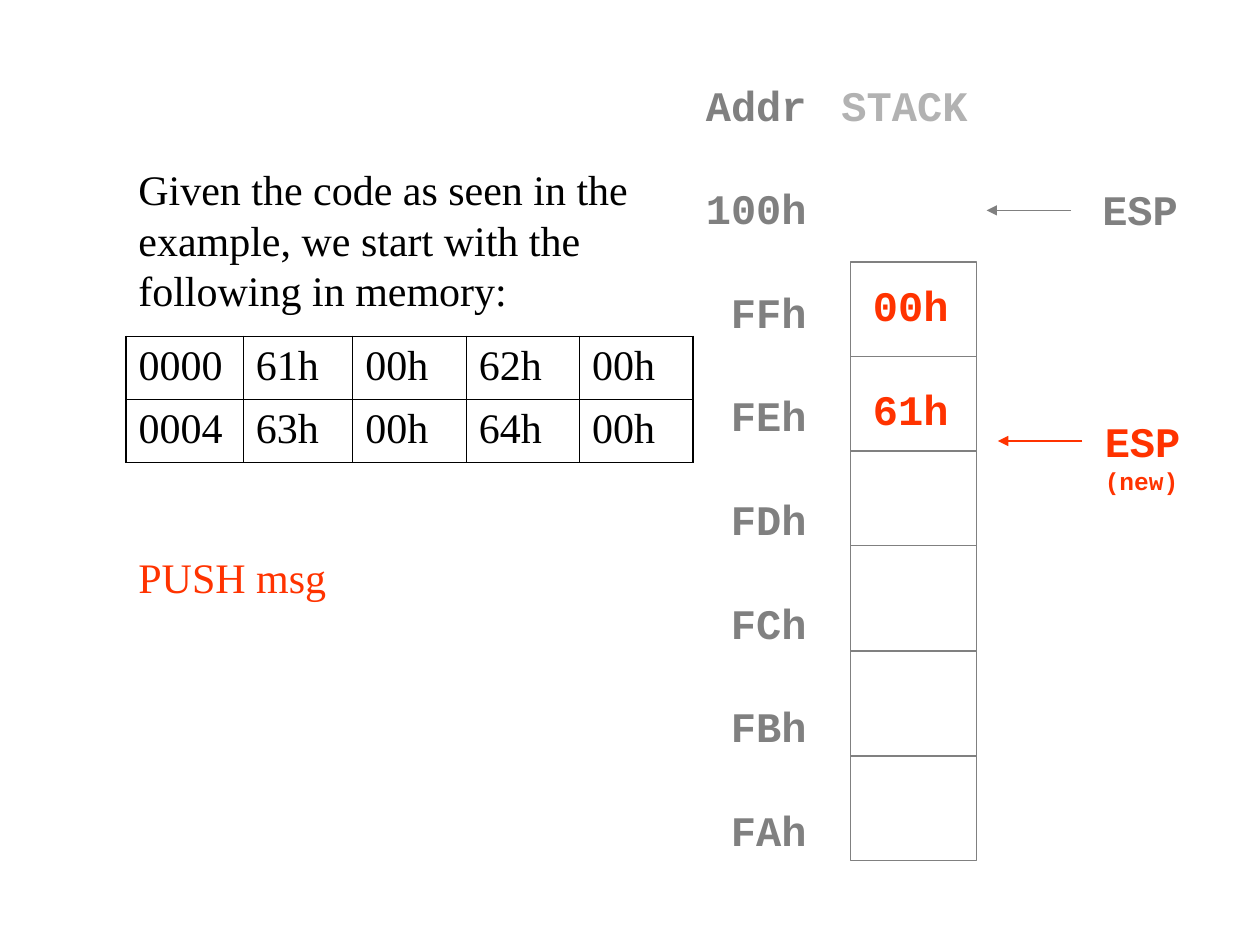
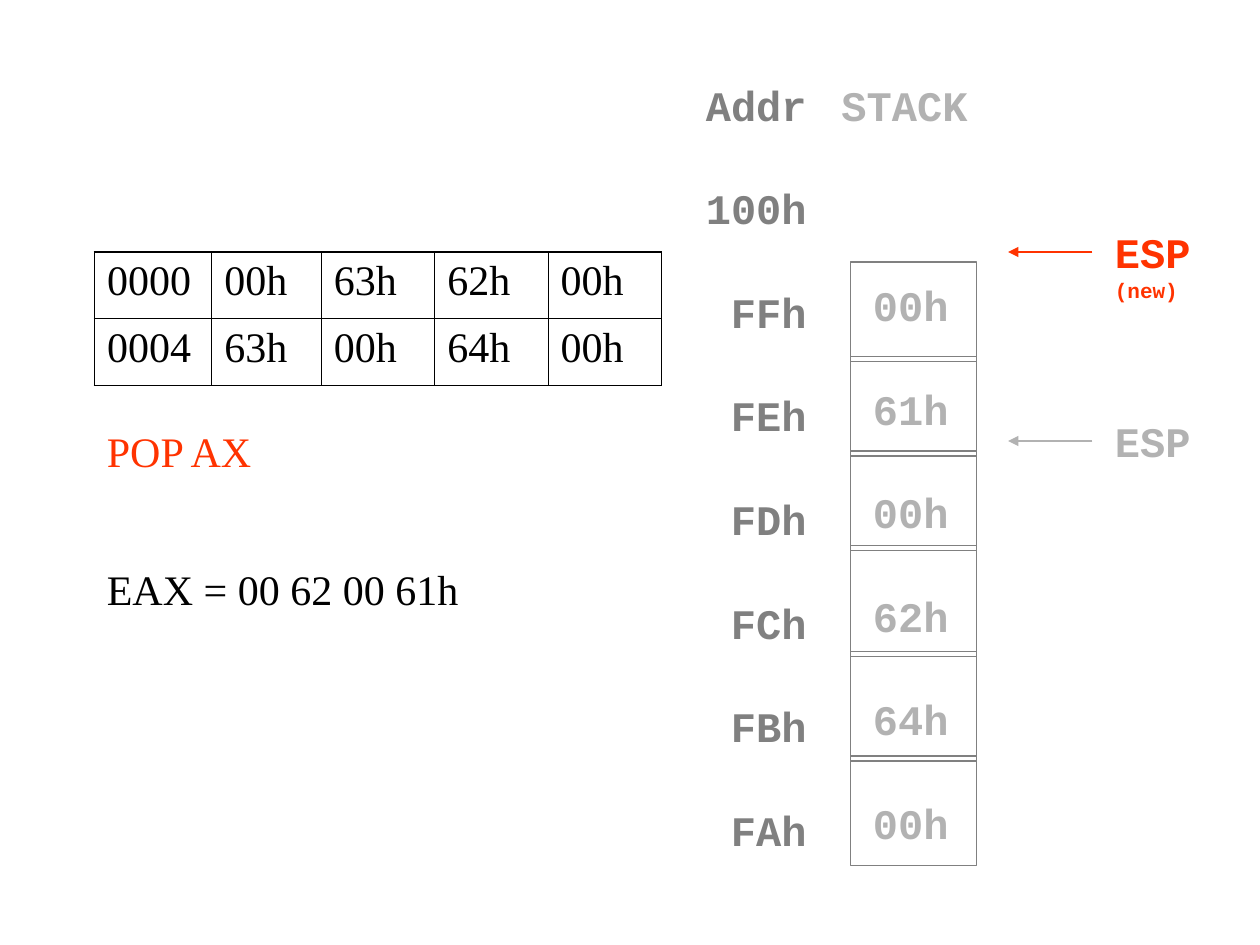
from lxml import etree
from pptx import Presentation
from pptx.dml.color import RGBColor
from pptx.enum.shapes import MSO_CONNECTOR as CONNECTOR, MSO_SHAPE as SHAPE
from pptx.enum.text import PP_ALIGN as ALIGN
from pptx.oxml.ns import qn
from pptx.util import Inches, Pt

BLACK = RGBColor(0x00, 0x00, 0x00)
GRAY = RGBColor(0x80, 0x80, 0x80)
LIGHT_GRAY = RGBColor(0xB2, 0xB2, 0xB2)
RED = RGBColor(0xFF, 0x33, 0x00)
SERIF = "Times New Roman"
MONO = "Courier New"
TEXT_SIZE = 24
ROW_GAP = 30.4  # points between the lines of the address and value columns

ADDRESSES = ["Addr", "100h", "FFh", "FEh", "FDh", "FCh", "FBh", "FAh"]
CELL_EDGES = [2.08, 2.83, 3.58, 4.33, 5.17, 6, 6.83]
MEMORY_COLUMNS = [0.93, 0.87, 0.9, 0.9, 0.9]


def style_run(r, color, font, size=TEXT_SIZE):
    r.font.name = font
    r.font.size = Pt(size)
    r.font.bold = font == MONO
    r.font.color.rgb = color


def add_text(slide, box, lines, color, font=MONO, sizes=(), gap=0,
             align=ALIGN.LEFT, leading=None):
    left, top, width, height = map(Inches, box)
    tf = slide.shapes.add_textbox(left, top, width, height).text_frame
    tf.word_wrap = True
    tf.margin_left = 0 if align == ALIGN.RIGHT else Inches(0.1)
    tf.margin_right = Inches(0.1) if align == ALIGN.RIGHT else 0
    for i, line in enumerate(lines):
        p = tf.paragraphs[0] if i == 0 else tf.add_paragraph()
        p.text = line
        p.alignment = align
        if leading:
            p.line_spacing = Pt(leading)
        if i and gap:
            p.space_before = Pt(gap)
        style_run(p.runs[0], color, font, sizes[i] if sizes else TEXT_SIZE)


def add_statement(slide, box, text, color=BLACK):
    add_text(slide, box, [text], color, SERIF, leading=28.8)


def set_borders(cell, widths):
    """Draw the left, right, top and bottom borders, widths in points."""
    tc_pr = cell._tc.get_or_add_tcPr()
    for i, (side, width) in enumerate(zip(("lnL", "lnR", "lnT", "lnB"), widths)):
        ln = etree.Element(qn(f"a:{side}"), w=str(Pt(width)))
        fill = etree.SubElement(ln, qn("a:solidFill"))
        etree.SubElement(fill, qn("a:srgbClr"), val=str(BLACK))
        tc_pr.insert(i, ln)


def add_memory_table(slide, left, top, row_height, rows):
    n_rows, n_cols = len(rows), len(MEMORY_COLUMNS)
    table = slide.shapes.add_table(
        n_rows, n_cols, Inches(left), Inches(top),
        Inches(sum(MEMORY_COLUMNS)), Inches(row_height * n_rows)).table
    table.first_row = table.horz_banding = False
    for column, width in zip(table.columns, MEMORY_COLUMNS):
        column.width = Inches(width)
    for i, row in enumerate(rows):
        table.rows[i].height = Inches(row_height)
        for j, value in enumerate(row):
            cell = table.cell(i, j)
            cell.fill.background()
            cell.text_frame.text = value
            style_run(cell.text_frame.paragraphs[0].runs[0], BLACK, SERIF)
            outer = (j == 0, j == n_cols - 1, i == 0, i == n_rows - 1)
            set_borders(cell, [1.08 if edge else 0.45 for edge in outer])


def add_stack(slide, values, value_color, overlap=0):
    """Draw addresses, header, values and cells; cells overlap downwards."""
    add_text(slide, (5.5, 0.58, 1, 6.1), ADDRESSES, GRAY,
             gap=ROW_GAP, align=ALIGN.RIGHT)
    add_text(slide, (6.58, 0.58, 1.2, 0.5), ["STACK"], LIGHT_GRAY)
    add_text(slide, (6.83, 2.17, 0.92, 4.5), values, value_color, gap=ROW_GAP)
    for top, bottom in zip(CELL_EDGES, CELL_EDGES[1:]):
        sp = slide.shapes.add_shape(
            SHAPE.RECTANGLE, Inches(6.75), Inches(top),
            Inches(1), Inches(bottom - top + overlap))
        sp.shadow.inherit = False
        sp.fill.background()
        sp.line.color.rgb = GRAY
        sp.line.width = Pt(1)


def add_pointer(slide, tip, y, label_box, color, new_size=None):
    """Draw an ESP arrow and its label, with a "(new)" line if sized."""
    line = slide.shapes.add_connector(
        CONNECTOR.STRAIGHT, Inches(tip + 0.67), Inches(y), Inches(tip), Inches(y))
    line.line.color.rgb = color
    line.line.width = Pt(1)
    etree.SubElement(line.line._get_or_add_ln(), qn("a:tailEnd"), type="triangle")
    etree.SubElement(line._element.spPr, qn("a:effectLst"))
    lines = ["ESP", "(new)"] if new_size else ["ESP"]
    add_text(slide, label_box, lines, color, sizes=(TEXT_SIZE, new_size))


def build_push_slide(slide):
    add_statement(slide, (1, 1.25, 4.25, 1.3),
                  "Given the code as seen in the example, "
                  "we start with the following in memory:")
    add_memory_table(slide, 1, 2.67, 0.5, [
        ["0000", "61h", "00h", "62h", "00h"],
        ["0004", "63h", "00h", "64h", "00h"]])
    add_statement(slide, (1, 4.33, 4.5, 0.5), "PUSH msg", RED)
    add_stack(slide, ["00h", "61h"], RED)
    add_pointer(slide, 7.83, 1.67, (8.65, 1.41, 0.8, 0.5), GRAY)
    add_pointer(slide, 7.92, 3.5, (8.67, 3.25, 0.8, 0.74), RED, 14)


def build_pop_slide(slide):
    add_memory_table(slide, 0.75, 2, 0.53, [
        ["0000", "00h", "63h", "62h", "00h"],
        ["0004", "63h", "00h", "64h", "00h"]])
    add_statement(slide, (0.75, 3.33, 3.67, 0.5), "POP AX", RED)
    add_statement(slide, (0.75, 4.42, 3.83, 0.5), "EAX = 00 62 00 61h")
    add_stack(slide, ["00h", "61h", "00h", "62h", "64h", "00h"],
              LIGHT_GRAY, overlap=0.04)
    add_pointer(slide, 8, 3.5, (8.75, 3.25, 0.83, 0.5), LIGHT_GRAY)
    add_pointer(slide, 8, 2, (8.75, 1.75, 0.83, 0.7), RED, 12)


def main():
    prs = Presentation()
    prs.slide_width, prs.slide_height = Inches(10), Inches(7.5)
    for build in (build_push_slide, build_pop_slide):
        build(prs.slides.add_slide(prs.slide_layouts[6]))
    prs.save("out.pptx")


if __name__ == "__main__":
    main()
